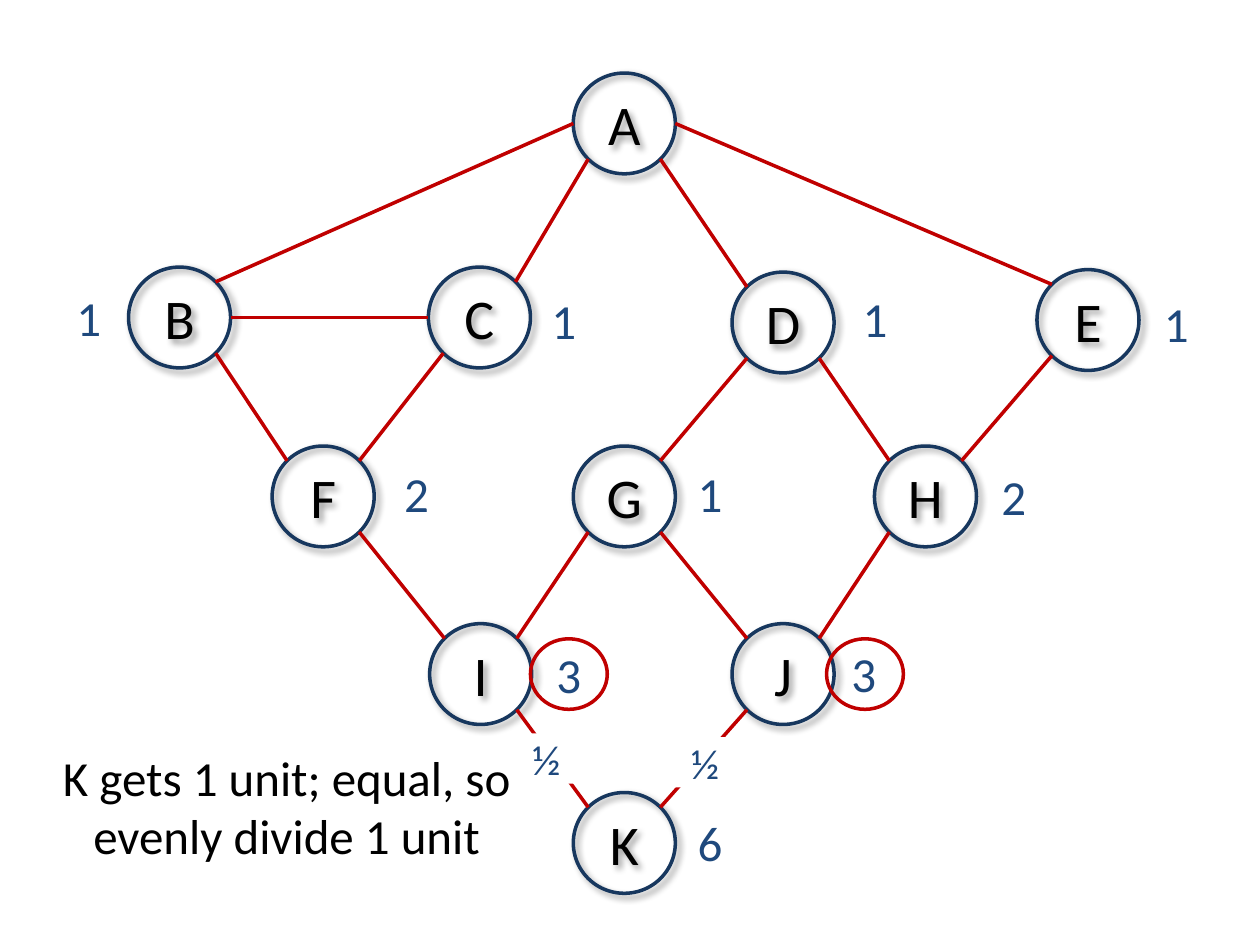
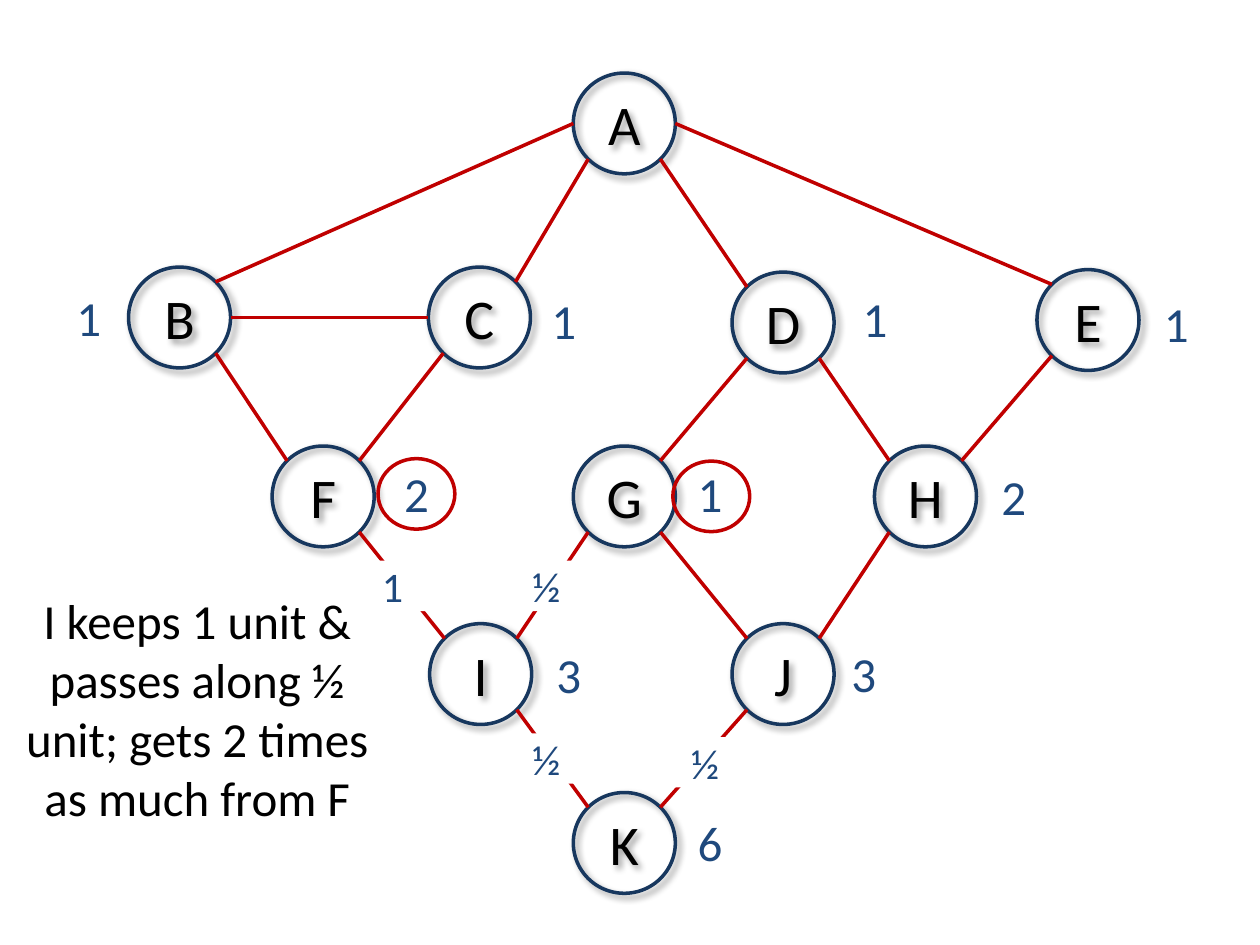
from lxml import etree
from pptx import Presentation
from pptx.dml.color import RGBColor
from pptx.enum.shapes import MSO_CONNECTOR, MSO_SHAPE
from pptx.enum.text import MSO_ANCHOR, PP_ALIGN
from pptx.oxml import parse_xml
from pptx.oxml.ns import nsdecls, qn
from pptx.util import Inches, Pt

OVAL, RECTANGLE = MSO_SHAPE.OVAL, MSO_SHAPE.RECTANGLE
STRAIGHT = MSO_CONNECTOR.STRAIGHT
CENTER = PP_ALIGN.CENTER
TOP, MIDDLE = MSO_ANCHOR.TOP, MSO_ANCHOR.MIDDLE

FONT = "Calibri"
BLACK, WHITE = "000000", "FFFFFF"
NAVY, BLUE, RED = "17375E", "1F497D", "C00000"
LINE_WIDTH = 2

NODE_WIDTH, NODE_HEIGHT = 0.81, 0.8
LABEL_WIDTH, COUNT_HEIGHT = 0.61, 0.57
RING_HEIGHT, SHARE_HEIGHT = 0.56, 0.4

# Left and top of each node
NODES = {
    "A": (4.55, 0.58),
    "B": (1.02, 2.12), "C": (3.4, 2.12), "D": (5.81, 2.16), "E": (8.23, 2.14),
    "F": (2.16, 3.54), "G": (4.55, 3.54), "H": (6.94, 3.54),
    "I": (3.41, 4.95), "J": (5.81, 4.95),
    "K": (4.55, 6.29),
}

# Connection site of an oval: index, then direction from its centre
DIAGONAL = 0.707
SITES = {
    "top left": (1, -DIAGONAL, -DIAGONAL),
    "left": (2, -1, 0),
    "bottom left": (3, -DIAGONAL, DIAGONAL),
    "bottom right": (5, DIAGONAL, DIAGONAL),
    "right": (6, 1, 0),
    "top right": (7, DIAGONAL, -DIAGONAL),
}
RIGHTWARD = ("bottom right", "top left")
LEFTWARD = ("bottom left", "top right")
EDGES = {
    "AB": ("left", "top right"), "AC": LEFTWARD,
    "AD": RIGHTWARD, "AE": ("right", "top left"),
    "BC": ("right", "left"),
    "BF": RIGHTWARD, "CF": LEFTWARD,
    "DG": LEFTWARD, "DH": RIGHTWARD, "EH": LEFTWARD,
    "FI": RIGHTWARD, "GI": LEFTWARD,
    "GJ": RIGHTWARD, "HJ": LEFTWARD,
    "IK": RIGHTWARD, "JK": LEFTWARD,
}

# Number of shortest paths beside each node: text, left, top
PATH_COUNTS = {
    "B": ("1", 0.4, 2.23), "C": ("1", 4.17, 2.26),
    "D": ("1", 6.64, 2.24), "E": ("1", 9.03, 2.28),
    "F": ("2", 3, 3.63), "G": ("1", 5.33, 3.63), "H": ("2", 7.74, 3.65),
    "I": ("3", 4.21, 5.07), "J": ("3", 6.55, 5.06), "K": ("6", 5.33, 6.4),
}

# Share of the flow on an edge: text, left, top
K_SHARES = [("½ ", 4.07, 5.82), ("½ ", 5.33, 5.85)]
I_SHARES = [("½ ", 4.07, 4.45), ("1", 2.81, 4.45)]

STEPS = [
    {
        "caption": "K gets 1 unit; equal, so evenly divide 1 unit",
        "caption_box": (0.33, 5.88, 3.89, 1.04),
        "rings": [(4.21, 5.07), (6.56, 5.07)],
        "shares": K_SHARES,
    },
    {
        "caption": "I keeps 1 unit & passes along ½ unit; gets 2 times as much from F",
        "caption_box": (0, 4.64, 3.13, 1.99),
        "rings": [(3, 3.64), (5.34, 3.66)],
        "shares": K_SHARES + I_SHARES,
    },
]


def color(value):
    return RGBColor.from_string(value)


def write_text(shape, text, size=28, font_color=BLACK, anchor=TOP, margins=(0.1, 0.05)):
    frame = shape.text_frame
    frame.word_wrap = True
    frame.vertical_anchor = anchor
    frame.margin_left = frame.margin_right = Inches(margins[0])
    frame.margin_top = frame.margin_bottom = Inches(margins[1])
    paragraph = frame.paragraphs[0]
    paragraph.alignment = CENTER
    run = paragraph.add_run()
    run.text = text
    run.font.name = FONT
    run.font.size = Pt(size)
    run.font.color.rgb = color(font_color)


def add_text(slide, box, text, **text_format):
    write_text(slide.shapes.add_textbox(*map(Inches, box)), text, **text_format)


def add_box(slide, kind, box, fill=None, line=None):
    shape = slide.shapes.add_shape(kind, *map(Inches, box))
    shape.shadow.inherit = False
    if fill:
        shape.fill.solid()
        shape.fill.fore_color.rgb = color(fill)
    else:
        shape.fill.background()
    if line:
        shape.line.color.rgb = color(line)
        shape.line.width = Pt(LINE_WIDTH)
    else:
        shape.line.fill.background()
    return shape


def add_shadow(shape):
    effects = shape._element.spPr.find(qn("a:effectLst"))
    effects.append(parse_xml(
        f'<a:outerShdw {nsdecls("a")} blurRad="{Pt(4)}" dist="{Pt(3)}" '
        f'dir="{45 * 60000}" algn="tl" rotWithShape="0">'
        f'<a:srgbClr val="{BLACK}"><a:alpha val="40000"/></a:srgbClr></a:outerShdw>'))


def add_node(slide, name, left, top):
    node = add_box(slide, OVAL, (left, top, NODE_WIDTH, NODE_HEIGHT), line=NAVY)
    add_shadow(node)
    write_text(node, name, size=32, anchor=MIDDLE, margins=(0, 0.05))
    return node


def site_point(name, site):
    left, top = NODES[name]
    _, across, down = SITES[site]
    return (Inches(left + NODE_WIDTH / 2 * (1 + across)),
            Inches(top + NODE_HEIGHT / 2 * (1 + down)))


def add_edge(slide, nodes, ends):
    """Join two nodes; ends holds a (node name, site) pair for each end."""
    start, finish = (site_point(*end) for end in ends)
    edge = slide.shapes.add_connector(STRAIGHT, *start, *finish)
    edge.line.color.rgb = color(RED)
    edge.line.width = Pt(LINE_WIDTH)
    etree.SubElement(edge._element.spPr, qn("a:effectLst"))
    # begin_connect knows only four sites, and an oval has eight
    joins = edge._element.nvCxnSpPr.cNvCxnSpPr
    for tag, (name, site) in zip(("a:stCxn", "a:endCxn"), ends):
        etree.SubElement(joins, qn(tag), id=str(nodes[name].shape_id),
                         idx=str(SITES[site][0]))


def draw_graph(slide):
    nodes = {name: add_node(slide, name, *place) for name, place in NODES.items()}
    for names, sites in EDGES.items():
        add_edge(slide, nodes, list(zip(names, sites)))
    for text, left, top in PATH_COUNTS.values():
        add_text(slide, (left, top, LABEL_WIDTH, COUNT_HEIGHT), text, font_color=BLUE)


def draw_share(slide, text, left, top):
    share = add_box(slide, RECTANGLE, (left, top, LABEL_WIDTH, SHARE_HEIGHT), fill=WHITE)
    write_text(share, text, size=24, font_color=BLUE, margins=(0.1, 0))


def build_step(presentation, step):
    slide = presentation.slides.add_slide(presentation.slide_layouts[6])
    draw_graph(slide)
    for left, top in step["rings"]:
        add_box(slide, OVAL, (left, top, LABEL_WIDTH, RING_HEIGHT), line=RED)
    add_text(slide, step["caption_box"], step["caption"])
    for share in step["shares"]:
        draw_share(slide, *share)


def main():
    presentation = Presentation()
    presentation.slide_width = Inches(10)
    presentation.slide_height = Inches(7.5)
    for step in STEPS:
        build_step(presentation, step)
    presentation.save("out.pptx")


if __name__ == "__main__":
    main()
